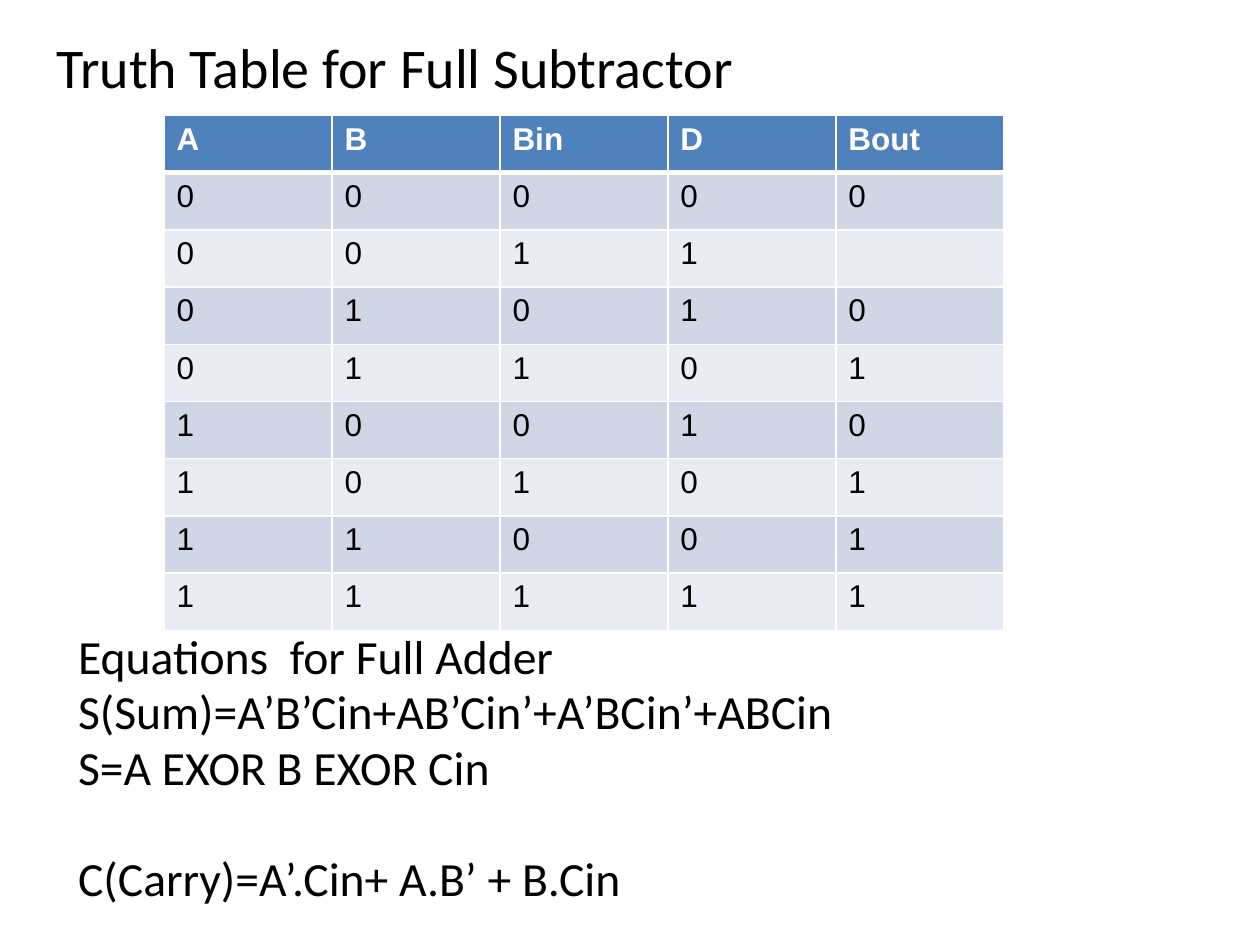
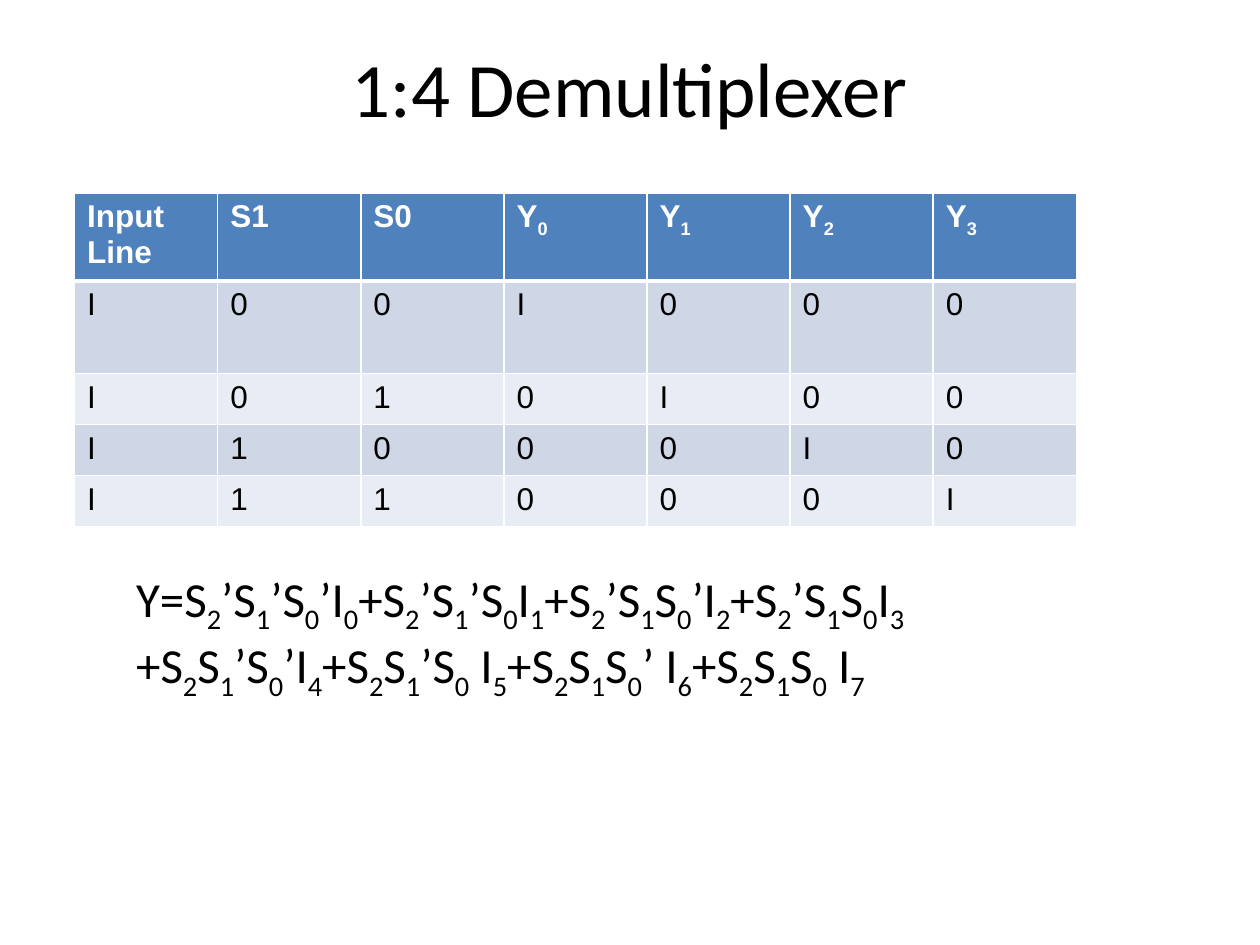
from pptx import Presentation
from pptx.dml.color import RGBColor
from pptx.enum.text import MSO_ANCHOR as Anchor, MSO_AUTO_SIZE as AutoSize, PP_ALIGN as Align
from pptx.oxml.ns import qn
from pptx.util import Pt
from lxml import etree

# Content: an underscore makes the next character a subscript
SLIDES = [
    {
        "title": "Truth Table for Full Subtractor",
        "title_box": (25, 15, 648, 51),
        "title_format": {"size": 32, "align": Align.LEFT, "anchor": Anchor.TOP},
        "head": ["A", "B", "Bin", "D", "Bout"],
        "rows": ["0 0 0 0 0", "0 0 1 1", "0 1 0 1 0", "0 1 1 0 1",
                 "1 0 0 1 0", "1 0 1 0 1", "1 1 0 0 1", "1 1 1 1 1"],
        "table_corner": (93.7, 66),
        "column_width": 96,
        "row_heights": [32.7] * 9,
        "equations": ["Equations  for Full Adder",
                      "S(Sum)=A’B’Cin+AB’Cin’+A’BCin’+ABCin",
                      "S=A EXOR B EXOR Cin",
                      "C(Carry)=A’.Cin+ A.B’ + B.Cin"],
        "equation_box": (37.4, 361, 648, 170),
        "equation_format": {"size": 27.2, "line_spacing": 0.8,
                            "gaps": [0, 5.4, 5.4, 37.3]},
    },
    {
        "title": "1:4 Demultiplexer",
        "title_box": (36, 4.5, 648, 90),
        "title_format": {"size": 44, "align": Align.CENTER, "anchor": Anchor.MIDDLE},
        "head": ["Input Line", "S1", "S0", "Y_0", "Y_1", "Y_2", "Y_3"],
        "rows": ["I 0 0 I 0 0 0", "I 0 1 0 I 0 0", "I 1 0 0 0 I 0", "I 1 1 0 0 0 I"],
        "table_corner": (42.6, 110.2),
        "column_width": 81.8,
        "row_heights": [50.4, 52.8, 29.2, 29.2, 29.2],
        "equations": ["Y=S_2’S_1’S_0’I_0+S_2’S_1’S_0I_1+S_2’S_1S_0’I_2+S_2’S_1S_0I_3 "
                      "+S_2S_1’S_0’I_4+S_2S_1’S_0 I_5+S_2S_1S_0’ I_6+S_2S_1S_0 I_7"],
        "equation_box": (70.6, 321, 538.6, 75),
        "equation_format": {"size": 28, "line_spacing": 1.0, "gaps": [0]},
    },
]

# Shared style
COLORS = {"text": "000000", "head_text": "FFFFFF", "head": "4F81BD",
          "odd": "CFD7E7", "even": "E8ECF4", "border": "FFFFFF"}
TEXT_FONT, TABLE_FONT = "Calibri", "Arial"
TABLE_SIZE = 18
THIN, THICK = 1, 3


def write(para, text, **formats):
    """Fill a paragraph with runs, lowering the marked characters."""
    color = RGBColor.from_string(COLORS[formats.pop("color", "text")])
    first, *others = text.split("_")
    pieces = [(first, False)]
    for other in others:
        pieces += [(other[0], True), (other[1:], False)]
    for piece, lowered in pieces:
        if not piece:
            continue
        span = para.add_run()
        span.text = piece
        for name, value in formats.items():
            setattr(span.font, name, value)
        span.font.color.rgb = color
        if lowered:
            span.font._element.set("baseline", "-25000")


def place(box, bounds):
    for name, value in zip(("left", "top", "width", "height"), bounds):
        setattr(box, name, Pt(value))
    box.text_frame.word_wrap = True
    box.text_frame.auto_size = AutoSize.NONE


def add_title(page, content):
    box, style = page.shapes.title, content["title_format"]
    place(box, content["title_box"])
    box.text_frame.vertical_anchor = style["anchor"]
    para = box.text_frame.paragraphs[0]
    para.alignment = style["align"]
    write(para, content["title"], name=TEXT_FONT, size=Pt(style["size"]))


def add_equations(page, content):
    box, style = page.placeholders[1], content["equation_format"]
    place(box, content["equation_box"])
    frame = box.text_frame
    for index, (equation, gap) in enumerate(zip(content["equations"], style["gaps"])):
        para = frame.add_paragraph() if index else frame.paragraphs[0]
        para.line_spacing = style["line_spacing"]
        para.space_before = Pt(gap)
        properties = para._p.get_or_add_pPr()
        properties.set("marL", "0")
        properties.set("indent", "0")
        etree.SubElement(properties, qn("a:buNone"))
        write(para, equation, name=TEXT_FONT, size=Pt(style["size"]))


def add_borders(cell, top, bottom):
    properties = cell._tc.get_or_add_tcPr()
    for side, width in (("L", THIN), ("R", THIN), ("T", top), ("B", bottom)):
        line = etree.SubElement(properties, qn("a:ln" + side), w=str(Pt(width)))
        fill = etree.SubElement(line, qn("a:solidFill"))
        etree.SubElement(fill, qn("a:srgbClr"), val=COLORS["border"])


def add_truth_table(page, content):
    head, heights = content["head"], content["row_heights"]
    rows = [head] + [row.split() for row in content["rows"]]
    left, top = content["table_corner"]
    width = content["column_width"]
    table = page.shapes.add_table(len(rows), len(head), Pt(left), Pt(top),
                                  Pt(width * len(head)), Pt(sum(heights))).table
    for column in table.columns:
        column.width = Pt(width)
    for number, (values, height) in enumerate(zip(rows, heights)):
        table.rows[number].height = Pt(height)
        is_head = number == 0
        band = "head" if is_head else "odd" if number % 2 else "even"
        for index in range(len(head)):
            cell = table.cell(number, index)
            add_borders(cell, THICK if number == 1 else THIN, THICK if is_head else THIN)
            cell.fill.solid()
            cell.fill.fore_color.rgb = RGBColor.from_string(COLORS[band])
            if index < len(values):
                write(cell.text_frame.paragraphs[0], values[index], name=TABLE_FONT,
                      size=Pt(TABLE_SIZE), bold=is_head,
                      color="head_text" if is_head else "text")


def main():
    deck = Presentation()
    deck.slide_width, deck.slide_height = Pt(720), Pt(540)
    for content in SLIDES:
        page = deck.slides.add_slide(deck.slide_layouts[1])
        add_title(page, content)
        add_truth_table(page, content)
        add_equations(page, content)
    deck.save("out.pptx")


if __name__ == "__main__":
    main()
